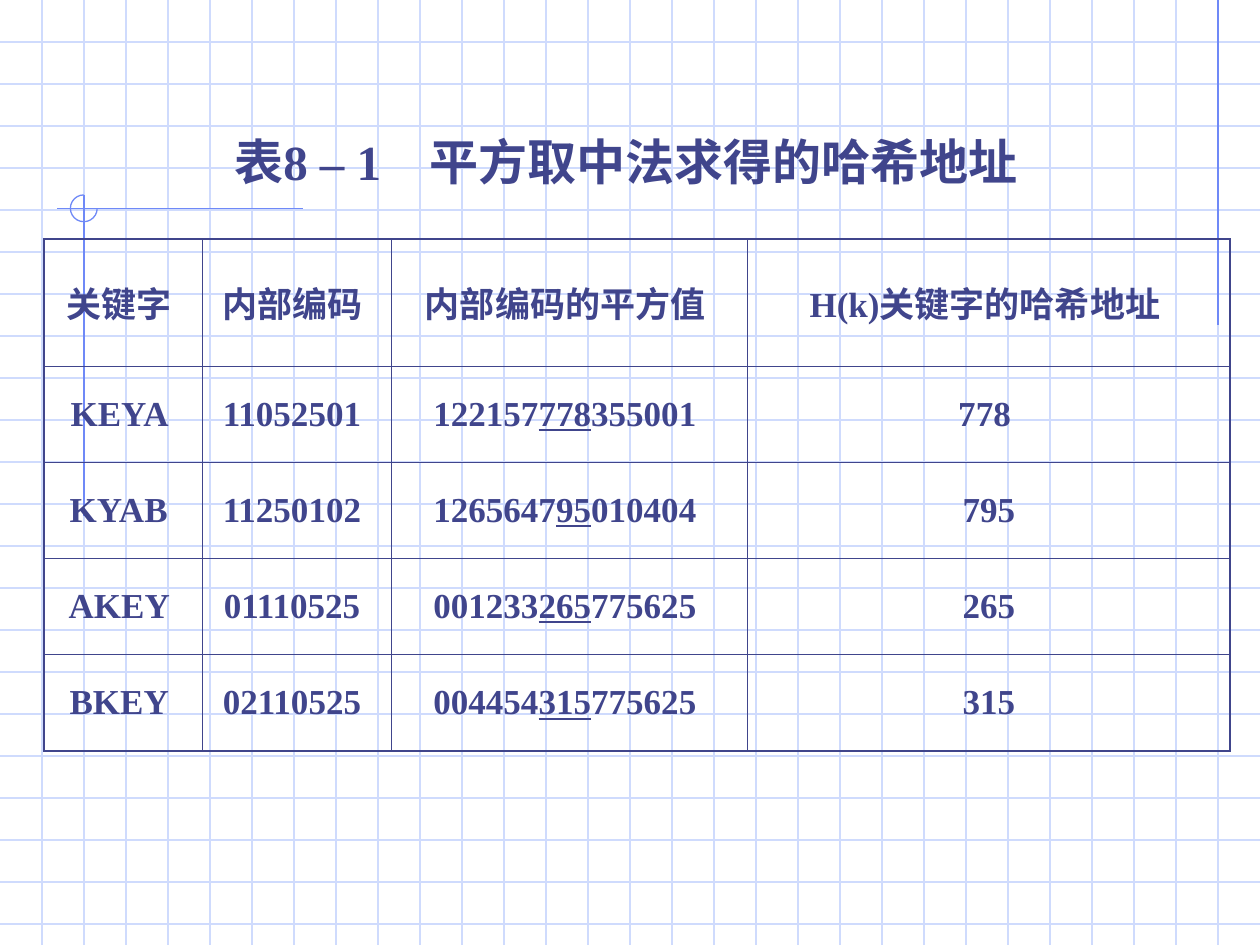
from lxml.etree import SubElement
from pptx import Presentation
from pptx.dml.color import RGBColor
from pptx.enum.shapes import MSO_CONNECTOR as Connector, MSO_SHAPE as Preset
from pptx.enum.text import MSO_ANCHOR as Anchor, MSO_AUTO_SIZE as AutoSize, PP_ALIGN as Align
from pptx.oxml.ns import qn
from pptx.util import Cm, Pt

INK = RGBColor(0x40, 0x45, 0x8C)
GRID = RGBColor(0xCF, 0xDB, 0xFD)
ACCENT = RGBColor(0x6F, 0x89, 0xF7)

WIDTH, HEIGHT = 25.4, 19.05
GRID_STEP = WIDTH / 30
COLUMN_WIDTHS = [3.18, 3.81, 7.19, 9.73]
ROW_HEIGHTS = [2.56] + [1.94] * 4
THIN, THICK = 0.45, 1.08

HASH_ROWS = [
    ["关键字 ", "内部编码 ", "内部编码的平方值 ", "H(k)关键字的哈希地址 "],
    ["KEYA ", "11052501 ", "122157_778_355001 ", "778 "],
    ["KYAB ", "11250102 ", "1265647_95_010404 ", "795"],
    ["AKEY ", "01110525 ", "001233_265_775625 ", "265"],
    ["BKEY ", "02110525 ", "004454_315_775625 ", "315"],
]


def write_text(text_frame, text, size=20, font="Times New Roman", color=INK,
               bold=True, align=Align.CENTER, tab_stop=None):
    paragraph = text_frame.paragraphs[0]
    paragraph.alignment = align
    if tab_stop is not None:
        tabs = SubElement(paragraph._p.get_or_add_pPr(), qn("a:tabLst"))
        SubElement(tabs, qn("a:tab"), pos=str(Cm(tab_stop)), algn="l")
    for index, part in enumerate(text.split("_")):
        run = paragraph.add_run()
        run.text = part
        run.font.size = Pt(size)
        run.font.name = font
        run.font.bold = bold
        run.font.color.rgb = color
        if index % 2:
            run.font.underline = True


class SlideBuilder:
    def __init__(self, slide, line_width=0.75):
        self.slide = slide
        self.line_width = Pt(line_width)

    def line(self, x1, y1, x2, y2, color):
        connector = self.slide.shapes.add_connector(
            Connector.STRAIGHT, Cm(x1), Cm(y1), Cm(x2), Cm(y2))
        connector.line.color.rgb = color
        connector.line.width = self.line_width
        SubElement(connector.element.spPr, qn("a:effectLst"))

    def grid(self, step, color):
        for index in range(1, int(HEIGHT / step) + 1):
            self.line(0, index * step, WIDTH, index * step, color)
        for index in range(1, round(WIDTH / step)):
            self.line(index * step, 0, index * step, HEIGHT, color)

    def open_circle(self, left, top, size, color):
        arc = self.slide.shapes.add_shape(
            Preset.ARC, Cm(left), Cm(top), Cm(size), Cm(size))
        arc.adjustments[0] = 0
        arc.adjustments[1] = 162
        arc.shadow.inherit = False
        arc.fill.background()
        arc.line.color.rgb = color
        arc.line.width = self.line_width

    def title(self, text, left, top, width, height, **text_format):
        title = self.slide.shapes.title
        title.left, title.top = Cm(left), Cm(top)
        title.width, title.height = Cm(width), Cm(height)
        frame = title.text_frame
        frame.word_wrap = True
        frame.auto_size = AutoSize.NONE
        frame.vertical_anchor = Anchor.MIDDLE
        write_text(frame, text, **text_format)
        self.slide.shapes.element.append(title.element)

    def cell_borders(self, cell, widths):
        properties = cell._tc.get_or_add_tcPr()
        for side, width in zip("LRTB", widths):
            border = SubElement(properties, qn(f"a:ln{side}"), w=str(Pt(width)))
            fill = SubElement(border, qn("a:solidFill"))
            SubElement(fill, qn("a:srgbClr"), val=str(INK))

    def table(self, rows, left, top, column_widths, row_heights):
        last_row, last_column = len(rows) - 1, len(column_widths) - 1
        table = self.slide.shapes.add_table(
            len(rows), len(column_widths), Cm(left), Cm(top),
            Cm(sum(column_widths)), Cm(sum(row_heights))).table
        table.first_row = table.horz_banding = False
        for column, width in zip(table.columns, column_widths):
            column.width = Cm(width)
        for row, height in zip(table.rows, row_heights):
            row.height = Cm(height)
        for y, values in enumerate(rows):
            for x, value in enumerate(values):
                cell = table.cell(y, x)
                outer = (x == 0, x == last_column, y == 0, y == last_row)
                self.cell_borders(cell, [THICK if edge else THIN for edge in outer])
                cell.fill.background()
                cell.vertical_anchor = Anchor.MIDDLE
                write_text(cell.text_frame, value)


def main():
    presentation = Presentation()
    presentation.slide_width, presentation.slide_height = Cm(WIDTH), Cm(HEIGHT)
    builder = SlideBuilder(presentation.slides.add_slide(presentation.slide_layouts[5]))
    builder.grid(GRID_STEP, GRID)
    builder.line(WIDTH - GRID_STEP, 0, WIDTH - GRID_STEP, 6.55, ACCENT)
    builder.line(6.1, 4.2, 1.14, 4.2, ACCENT)
    builder.line(2 * GRID_STEP, 3.93, 2 * GRID_STEP, 10.4, ACCENT)
    builder.open_circle(1.42, 3.93, 0.54, ACCENT)
    builder.title("表8 – 1\t平方取中法求得的哈希地址", 4.47, 2.51, 16.76, 1.45,
                  size=28, align=Align.LEFT, tab_stop=3.94)
    builder.table(HASH_ROWS, 0.89, 4.82, COLUMN_WIDTHS, ROW_HEIGHTS)
    presentation.save("out.pptx")


if __name__ == "__main__":
    main()
